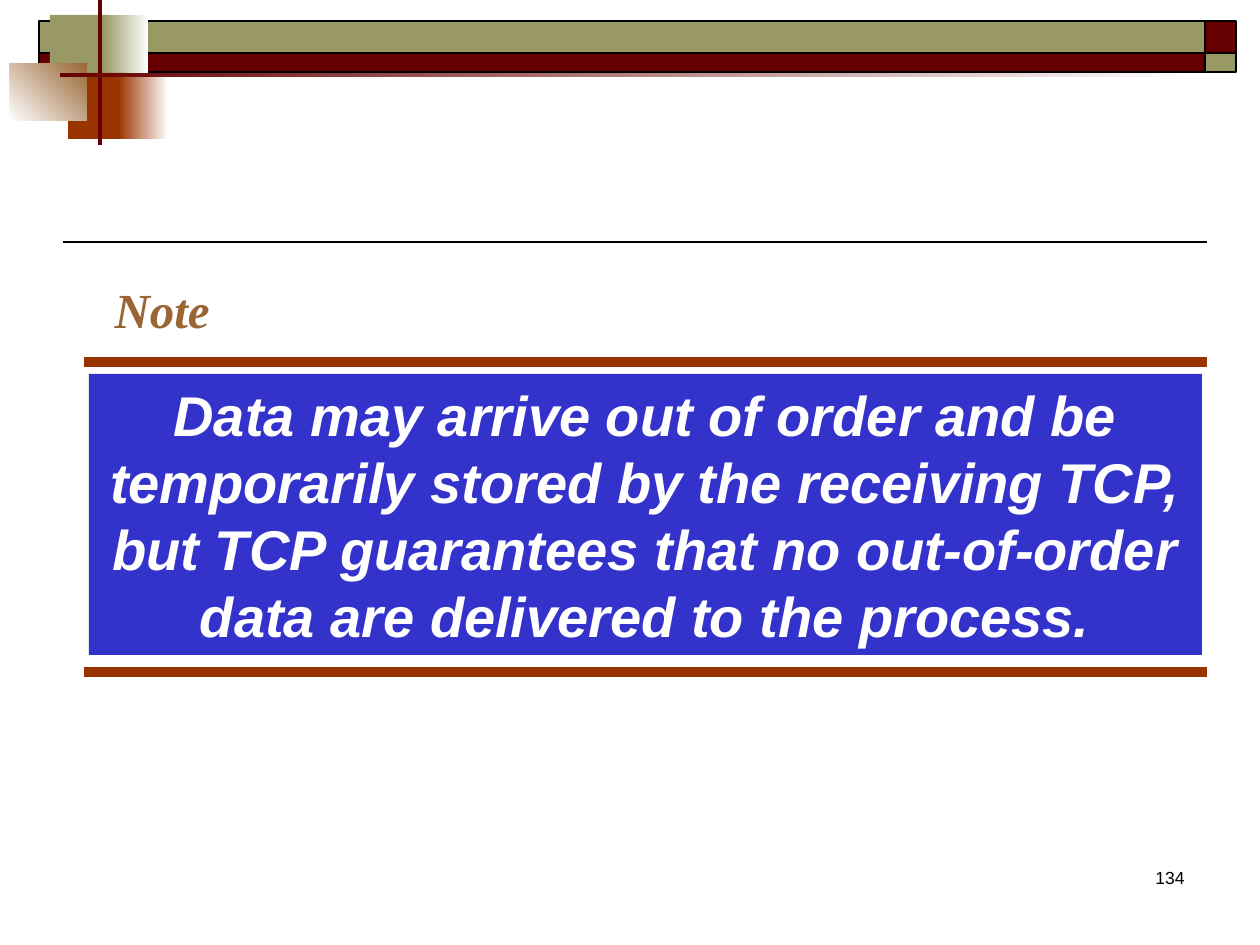
from itertools import product
from lxml.etree import SubElement
from pptx import Presentation
from pptx.dml.color import RGBColor
from pptx.enum.shapes import MSO_CONNECTOR, MSO_SHAPE
from pptx.enum.text import MSO_ANCHOR, MSO_AUTO_SIZE, PP_ALIGN
from pptx.oxml.ns import qn
from pptx.util import Emu, Pt

EMU_PER_PX = 914400 / 126
BLACK = RGBColor(0x00, 0x00, 0x00)
WHITE = RGBColor(0xFF, 0xFF, 0xFF)
MAROON = RGBColor(0x66, 0x00, 0x00)
OLIVE = RGBColor(0x99, 0x99, 0x66)
RUST = RGBColor(0x99, 0x33, 0x00)
BROWN = RGBColor(0x99, 0x66, 0x33)
BLUE = RGBColor(0x33, 0x33, 0xCC)

NUMBER_FORMAT = {"name": "Arial", "size": Pt(10), "bold": False, "italic": False}
NOTE_FORMAT = {"name": "Times New Roman", "size": Pt(28), "bold": True, "italic": True}
STATEMENT_FORMAT = {"name": "Arial", "size": Pt(32), "bold": True, "italic": True}

BANNER_COLUMNS = ((39, 1166), (1205, 31))
BANNER_ROWS = ((21, 32), (53, 19))
ACCENTS = (
    ((50, 15, 61, 66), (OLIVE,), 0),
    ((103, 15, 45, 66), (OLIVE, WHITE), 0),
    ((68, 73, 58, 66), (RUST,), 0),
    ((118, 73, 50, 66), (RUST, WHITE), 0),
    ((10, 63, 77, 58), (WHITE, BROWN), 45),
    ((98, 0, 4, 145), (MAROON,), 0),
    ((60, 73, 1134, 4), (MAROON, WHITE), 0),
)
STATEMENT = (
    "Data may arrive out of order and be temporarily stored by the receiving TCP,",
    "but TCP guarantees that no out-of-order data are delivered to the process.",
)


def px(length):
    return Emu(round(length * EMU_PER_PX))


def add_rectangle(slide, box, colors, angle=0, outline=None):
    rectangle = slide.shapes.add_shape(MSO_SHAPE.RECTANGLE, *map(px, box))
    rectangle.shadow.inherit = False
    if len(colors) == 1:
        rectangle.fill.solid()
        rectangle.fill.fore_color.rgb = colors[0]
    else:
        rectangle.fill.gradient()
        rectangle.fill.gradient_angle = angle
        for position, (stop, color) in enumerate(zip(rectangle.fill.gradient_stops, colors)):
            stop.position = position
            stop.color.rgb = color
    if outline is None:
        rectangle.line.fill.background()
    else:
        rectangle.line.color.rgb = outline
        rectangle.line.width = Pt(1)
    return rectangle


def add_rule(slide, left, right, y, color, width):
    rule = slide.shapes.add_connector(
        MSO_CONNECTOR.STRAIGHT, px(left), px(y), px(right), px(y))
    rule.line.color.rgb = color
    rule.line.width = Pt(width)
    SubElement(rule._element.spPr, qn("a:effectLst"))


def write_text(holder, paragraphs, font_format, color, align, wrap=True):
    frame = holder.text_frame
    frame.text = "\n".join(paragraphs)
    frame.word_wrap = wrap
    frame.auto_size = MSO_AUTO_SIZE.NONE
    frame.vertical_anchor = MSO_ANCHOR.TOP
    for paragraph in frame.paragraphs:
        paragraph.alignment = align
        for attribute, value in font_format.items():
            setattr(paragraph.font, attribute, value)
        paragraph.font.color.rgb = color


def add_banner(slide):
    for (row, (top, height)), (column, (left, width)) in product(
            enumerate(BANNER_ROWS), enumerate(BANNER_COLUMNS)):
        color = OLIVE if row == column else MAROON
        add_rectangle(slide, (left, top, width, height), (color,), outline=BLACK)


def add_note_title(slide):
    note = slide.shapes.title
    note.left, note.top, note.width, note.height = map(px, (102, 273, 121, 72))
    write_text(note, ("Note",), NOTE_FORMAT, BROWN, PP_ALIGN.LEFT, wrap=False)


def add_statement(slide):
    for y in (362, 672):
        add_rule(slide, 84, 1207, y, RUST, 6)
    panel = add_rectangle(slide, (89, 374, 1113, 281), (BLUE,))
    write_text(panel, STATEMENT, STATEMENT_FORMAT, WHITE, PP_ALIGN.CENTER)


def add_page_number(slide):
    number = slide.shapes.add_textbox(*map(px, (935, 861, 262, 63)))
    write_text(number, ("134",), NUMBER_FORMAT, BLACK, PP_ALIGN.RIGHT)


def main():
    deck = Presentation()
    deck.slide_width, deck.slide_height = px(1260), px(945)
    slide = deck.slides.add_slide(deck.slide_layouts[5])
    add_rule(slide, 63, 1207, 242, BLACK, 1)
    add_banner(slide)
    for box, colors, angle in ACCENTS:
        add_rectangle(slide, box, colors, angle)
    add_note_title(slide)
    add_statement(slide)
    add_page_number(slide)
    deck.save("out.pptx")


if __name__ == "__main__":
    main()
